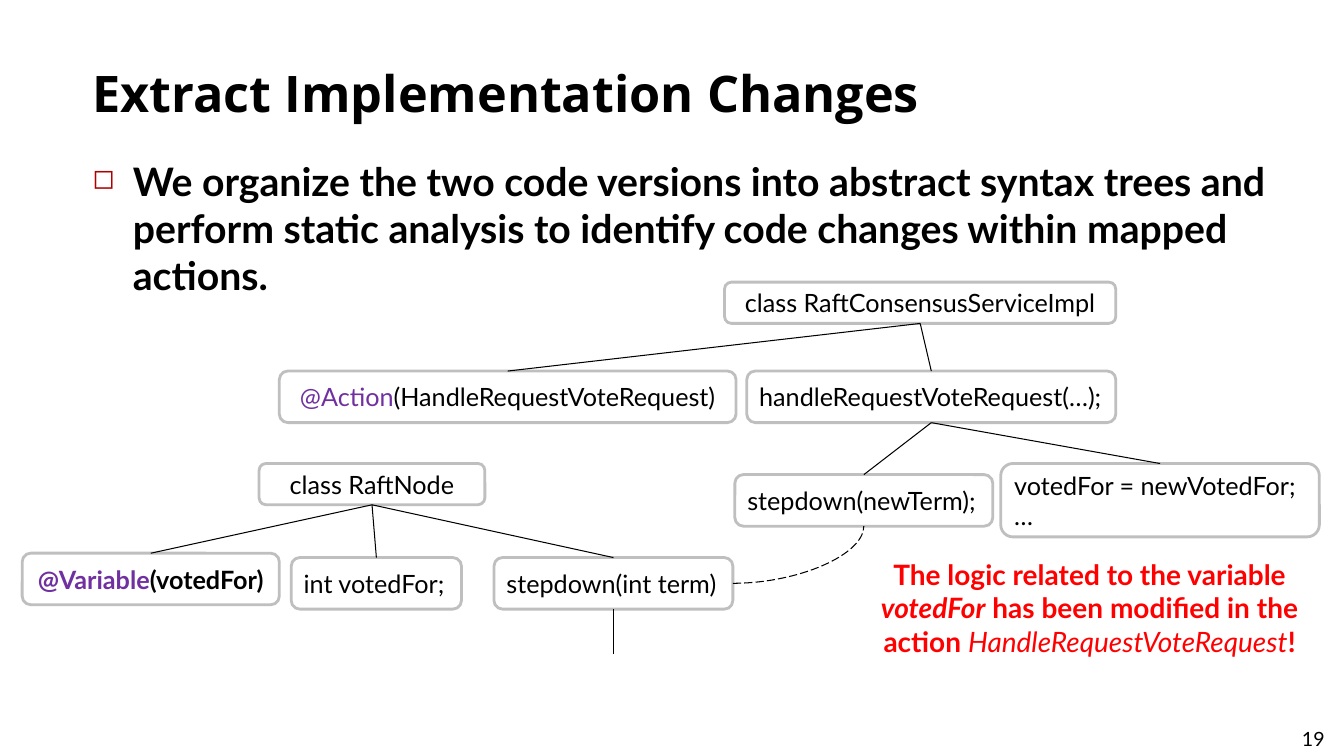
"""Build the slide on extracting implementation changes from syntax trees."""
from dataclasses import dataclass

from lxml import etree
from pptx import Presentation
from pptx.dml.color import RGBColor
from pptx.enum.dml import MSO_LINE
from pptx.enum.shapes import MSO_CONNECTOR, MSO_SHAPE
from pptx.enum.text import MSO_ANCHOR, PP_ALIGN
from pptx.oxml.ns import qn
from pptx.util import Cm, Pt

LEFT, CENTER = PP_ALIGN.LEFT, PP_ALIGN.CENTER
TOP, MIDDLE, BOTTOM = MSO_ANCHOR.TOP, MSO_ANCHOR.MIDDLE, MSO_ANCHOR.BOTTOM
STRAIGHT, CURVE = MSO_CONNECTOR.STRAIGHT, MSO_CONNECTOR.CURVE
ROUNDED, LONG_DASH = MSO_SHAPE.ROUNDED_RECTANGLE, MSO_LINE.LONG_DASH
TOP_SITE, BOTTOM_SITE, RIGHT_SITE = 0, 2, 3


@dataclass(frozen=True)
class Theme:
    """Colours, fonts and type sizes of the slide."""
    ink: str = "000000"
    paper: str = "FFFFFF"
    border: str = "BFBFBF"
    annotation: str = "7030A0"
    alert: str = "FF0000"
    bullet: str = "AD0101"
    heading_font: str = "Open Sans"
    body_font: str = "Lato"
    title_size: float = 36
    title_leading: float = 46.7
    body_size: float = 28
    callout_size: float = 20
    node_size: float = 18
    number_size: float = 14
    border_width: float = 2
    edge_width: float = 0.75


class SlideBuilder:
    """Draws themed elements on the current slide."""

    def __init__(self, slide, theme):
        self.slide = slide
        self.theme = theme

    def fill_text(self, shape, paragraphs, size, align=LEFT, anchor=TOP,
                  color=None, bold=False, font=None):
        """Fill a shape with paragraphs, each a list of (text, overrides) runs."""
        frame = shape.text_frame
        frame.word_wrap = True
        frame.vertical_anchor = anchor
        for index, runs in enumerate(paragraphs):
            paragraph = frame.add_paragraph() if index else frame.paragraphs[0]
            paragraph.alignment = align
            paragraph.font.name = font or self.theme.body_font
            paragraph.font.size = Pt(size)
            paragraph.font.bold = bold
            paragraph.font.color.rgb = RGBColor.from_string(color or self.theme.ink)
            for text, overrides in runs:
                run = paragraph.add_run()
                run.text = text
                if "color" in overrides:
                    run.font.color.rgb = RGBColor.from_string(overrides["color"])
                if "bold" in overrides:
                    run.font.bold = overrides["bold"]
                if "italic" in overrides:
                    run.font.italic = overrides["italic"]
        return frame.paragraphs[0]

    def text(self, box, runs, size, **style):
        """Add a text box with one paragraph and return the paragraph."""
        shape = self.slide.shapes.add_textbox(*map(Cm, box))
        return self.fill_text(shape, [runs], size, **style)

    def bulleted(self, box, text, indent):
        """Add a bold text box with a square bullet and a hanging indent."""
        shape = self.slide.shapes.add_textbox(*map(Cm, box))
        properties = shape.text_frame.paragraphs[0]._p.get_or_add_pPr()
        properties.set("marL", str(Cm(indent)))
        properties.set("indent", str(-Cm(indent)))
        bullet_color = etree.SubElement(properties, qn("a:buClr"))
        etree.SubElement(bullet_color, qn("a:srgbClr"), val=self.theme.bullet)
        etree.SubElement(properties, qn("a:buSzPct"), val="70000")
        etree.SubElement(properties, qn("a:buChar"), char="◻")
        self.fill_text(shape, [[(text, {})]], self.theme.body_size, bold=True)

    def node(self, box, *paragraphs, align=LEFT, bold=False):
        """Add a rounded tree node and return it."""
        shape = self.slide.shapes.add_shape(ROUNDED, *map(Cm, box))
        shape.shadow.inherit = False
        shape.fill.solid()
        shape.fill.fore_color.rgb = RGBColor.from_string(self.theme.paper)
        shape.line.color.rgb = RGBColor.from_string(self.theme.border)
        shape.line.width = Pt(self.theme.border_width)
        self.fill_text(shape, paragraphs, self.theme.node_size, align, MIDDLE, bold=bold)
        return shape

    def connector(self, kind=STRAIGHT, ends=(0, 0, 0, 0)):
        """Add a thin line without shadow and return it."""
        line = self.slide.shapes.add_connector(kind, *ends)
        line.line.color.rgb = RGBColor.from_string(self.theme.ink)
        line.line.width = Pt(self.theme.edge_width)
        etree.SubElement(line._element.spPr, qn("a:effectLst"))
        return line

    def branch(self, parent, *children):
        """Join the bottom of a parent node to the top of each child."""
        for child in children:
            line = self.connector()
            line.begin_connect(parent, BOTTOM_SITE)
            line.end_connect(child, TOP_SITE)

    def stub(self, parent, length):
        """Draw a vertical line down from the bottom of a node."""
        middle = parent.left + parent.width // 2
        bottom = parent.top + parent.height
        self.connector(ends=(middle, bottom, middle, bottom + Cm(length)))

    def call_link(self, definition, call):
        """Draw a dashed quarter curve from a definition to its call."""
        line = self.connector(CURVE)
        line.begin_connect(definition, RIGHT_SITE)
        line.end_connect(call, BOTTOM_SITE)
        line._element.spPr.find(qn("a:prstGeom")).set("prst", "curvedConnector2")
        line.line.dash_style = LONG_DASH


def main():
    """Build and save the slide."""
    theme = Theme()
    presentation = Presentation()
    presentation.slide_width, presentation.slide_height = Cm(33.87), Cm(19.05)
    slide = presentation.slides.add_slide(presentation.slide_layouts[6])
    builder = SlideBuilder(slide, theme)

    builder.text((32.56, 18.19, 1.22, 0.86), [("19", {})], theme.number_size)
    builder.bulleted(
        (2.08, 3.84, 30.07, 3.84),
        "We organize the two code versions into abstract syntax trees and "
        "perform static analysis to identify code changes within mapped actions.",
        indent=1.02)
    title = builder.text(
        (2.08, 0.86, 30.07, 2.36), [("Extract Implementation Changes", {})],
        theme.title_size, anchor=BOTTOM, bold=True, font=theme.heading_font)
    title.line_spacing = Pt(theme.title_leading)

    purple = {"color": theme.annotation}
    service = builder.node((18.26, 7.11, 9.86, 1.04),
                           [("class RaftConsensusServiceImpl", {})], align=CENTER)
    action = builder.node((7.04, 9.35, 11.51, 1.3),
                          [("@Action", purple), ("(HandleRequestVoteRequest)", {})],
                          align=CENTER)
    handler = builder.node((18.82, 9.35, 9.3, 1.3),
                           [("handleRequestVoteRequest(…);", {})])
    call = builder.node((18.52, 11.96, 6.5, 1.3), [("stepdown(newTerm);", {})])
    assignment = builder.node((25.22, 11.68, 8.03, 1.85),
                              [("votedFor = newVotedFor;", {})], [("…", {})])
    raft_node = builder.node((6.53, 11.68, 5.69, 1.04),
                             [("class RaftNode", {})], align=CENTER)
    variable = builder.node((0.56, 13.94, 6.48, 1.3),
                            [("@Variable", purple), ("(votedFor)", {})],
                            align=CENTER, bold=True)
    field = builder.node((7.34, 14.05, 4.29, 1.3), [("int votedFor;", {})])
    definition = builder.node((12.45, 14.05, 6.02, 1.3), [("stepdown(int term)", {})])

    builder.branch(service, action, handler)
    builder.branch(handler, call, assignment)
    builder.branch(raft_node, variable, field, definition)
    builder.stub(definition, 1.14)
    builder.call_link(definition, call)

    builder.text(
        (21.62, 13.92, 11.68, 2.82),
        [("The logic related to the variable ", {}),
         ("votedFor", {"italic": True}),
         (" has been modified in the action ", {}),
         ("HandleRequestVoteRequest", {"bold": False, "italic": True}),
         ("!", {})],
        theme.callout_size, align=CENTER, color=theme.alert, bold=True)

    presentation.save("out.pptx")


if __name__ == "__main__":
    main()
